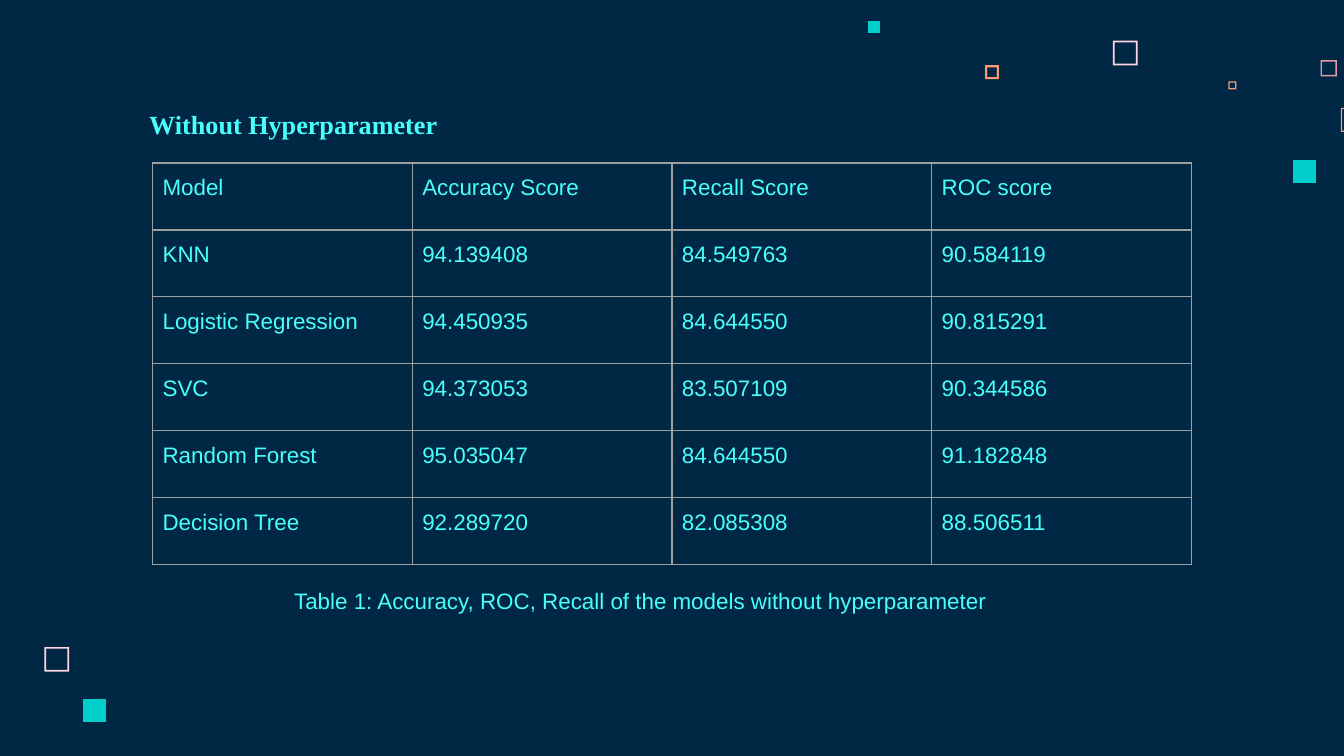
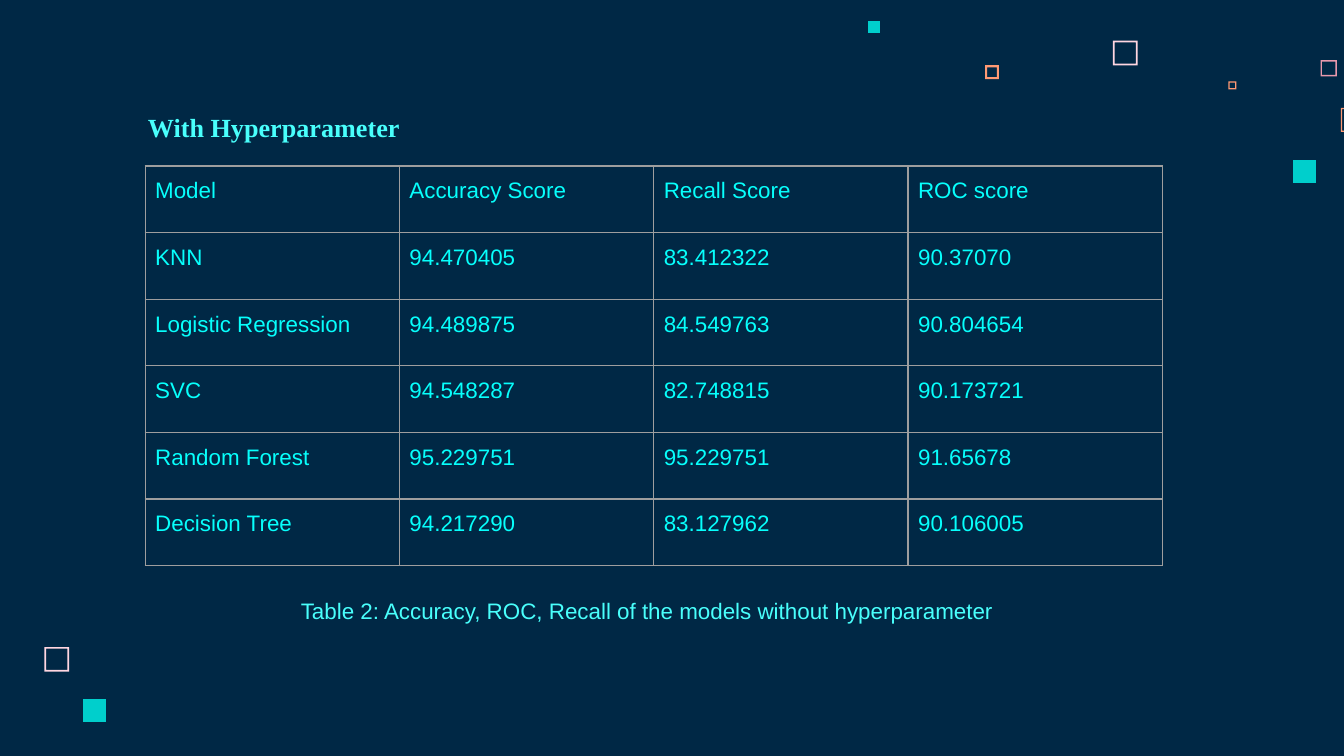
from lxml import etree
from pptx import Presentation, util as u
from pptx.dml.color import RGBColor
from pptx.enum import text
from pptx.oxml.ns import qn

WIDE, HIGH = u.Inches(10), u.Inches(5.625)
NAVY, AQUA, CYAN = "002845", "49FFFC", "07FFFC"
TEAL, PINK, ROSE, PEACH, GREY = "00CFCC", "FFD6E1", "E898AC", "FF9973", "9E9E9E"

# Lengths are percentages of the slide width: left, top, side, edge, colour.
# An edge of 0 is a solid square.
SQUARES = [
    (82.8, 3.03, 1.84, 0.13, PINK),
    (98.26, 4.48, 1.2, 0.1, ROSE),
    (91.4, 6.06, 0.6, 0.1, PEACH),
    (99.76, 8.02, 1.8, 0.1, PEACH),
    (96.2, 11.9, 1.7, 0, TEAL),
    (73.3, 4.86, 1.03, 0.15, PEACH),
    (64.6, 1.56, 0.9, 0, TEAL),
    (3.3, 48.14, 1.84, 0.13, PINK),
    (6.2, 52, 1.7, 0, TEAL),
]

HEADS = ["Model", "Accuracy Score", "Recall Score", "ROC score"]
MODELS = ["KNN", "Logistic Regression", "SVC", "Random Forest", "Decision Tree"]
PLAIN = [
    ["94.139408", "84.549763", "90.584119"],
    ["94.450935", "84.644550", "90.815291"],
    ["94.373053", "83.507109", "90.344586"],
    ["95.035047", "84.644550", "91.182848"],
    ["92.289720", "82.085308", "88.506511"],
]
TUNED = [
    ["94.470405", "83.412322", "90.37070"],
    ["94.489875", "84.549763", "90.804654"],
    ["94.548287", "82.748815", "90.173721"],
    ["95.229751", "95.229751", "91.65678"],
    ["94.217290", "83.127962", "90.106005"],
]


def share(value):
    """Turn a percentage of the slide width into a length."""
    return u.Emu(round(WIDE * value / 100))


def paint(fill, hue):
    fill.solid()
    fill.fore_color.rgb = RGBColor.from_string(hue)


def style(par, size, face, hue, bold=False):
    for run in par.runs:
        font = run.font
        font.size, font.name, font.bold = u.Pt(size), face, bold
        font.color.rgb = RGBColor.from_string(hue)


def square(shapes, left, top, side, edge, hue):
    """Draw a solid square, or a square ring when edge is above 0."""
    def ring(inset):
        x, y = share(left + inset), share(top + inset)
        far, low = share(left + side - inset), share(top + side - inset)
        return [(x, y), (x, low), (far, low), (far, y)]

    outer = ring(0)
    pen = shapes.build_freeform(*outer[0])
    pen.add_line_segments(outer[1:])
    if edge:
        inner = ring(edge)[::-1]
        pen.move_to(*inner[0])
        pen.add_line_segments(inner[1:])
    shape = pen.convert_to_shape()
    paint(shape.fill, hue)
    shape.line.fill.background()
    shape.shadow.inherit = False
    return shape


def adorn(layout, shapes):
    """Give the layout its background and its scattered squares."""
    paint(layout.background.fill, NAVY)
    for item in SQUARES:
        layout.shapes.element.append(square(shapes, *item).element)


def title(slide, words, left, top):
    box = slide.shapes.title
    box.left, box.top = share(left), share(top)
    box.width, box.height = share(28.7), share(3.4)
    frame = box.text_frame
    frame.text = words
    frame.auto_size = text.MSO_AUTO_SIZE.NONE
    frame.vertical_anchor = text.MSO_ANCHOR.TOP
    par = frame.paragraphs[0]
    par.alignment = text.PP_ALIGN.LEFT
    style(par, 14, "Times New Roman", AQUA, True)


def caption(slide, words, left, top, width):
    box = slide.shapes.add_textbox(share(left), share(top), share(width), share(3))
    frame = box.text_frame
    frame.text = words
    frame.word_wrap = False
    frame.vertical_anchor = text.MSO_ANCHOR.MIDDLE
    par = frame.paragraphs[0]
    par.alignment = text.PP_ALIGN.JUSTIFY
    style(par, 12, "Arial", AQUA)


def border(cell):
    props = cell._tc.get_or_add_tcPr()
    for spot, side in enumerate(("lnL", "lnR", "lnT", "lnB")):
        line = etree.Element(qn("a:" + side), w=str(u.Pt(0.75)))
        fill = etree.SubElement(line, qn("a:solidFill"))
        etree.SubElement(fill, qn("a:srgbClr"), val=GREY)
        props.insert(spot, line)


def write(cell, words, hue):
    cell.text = words
    cell.margin_left = cell.margin_right = share(0.75)
    cell.margin_top = cell.margin_bottom = 0
    par = cell.text_frame.paragraphs[0]
    par.alignment = text.PP_ALIGN.JUSTIFY
    par.line_spacing = 1.5
    style(par, 12, "Arial", hue)
    cell.fill.background()
    border(cell)


def grid(slide, scores, left, top, width, height, hue):
    rows = [HEADS] + [[name] + row for name, row in zip(MODELS, scores)]
    table = slide.shapes.add_table(
        len(rows), len(HEADS), *map(share, (left, top, width, height))).table
    table.first_row = table.horz_banding = False
    for col in table.columns:
        col.width = share(width / len(HEADS))
    for r, row in enumerate(rows):
        table.rows[r].height = share(height / len(rows))
        for c, words in enumerate(row):
            write(table.cell(r, c), words, hue)


def main():
    deck = Presentation()
    deck.slide_width, deck.slide_height = WIDE, HIGH
    layout = deck.slide_layouts[5]
    first, second = [deck.slides.add_slide(layout) for _ in range(2)]
    adorn(layout, first.shapes)

    note = "Table {}: Accuracy, ROC, Recall of the models without hyperparameter"
    title(first, "Without Hyperparameter", 10.1, 7.6)
    grid(first, PLAIN, 11.35, 12.13, 77.3, 29.9, AQUA)
    caption(first, note.format(1), 20.9, 43.2, 53.9)

    title(second, "With Hyperparameter", 10, 7.8)
    grid(second, TUNED, 10.8, 12.35, 75.7, 29.75, CYAN)
    caption(second, note.format(2), 21.4, 43.9, 54.4)
    deck.save("out.pptx")


if __name__ == "__main__":
    main()
